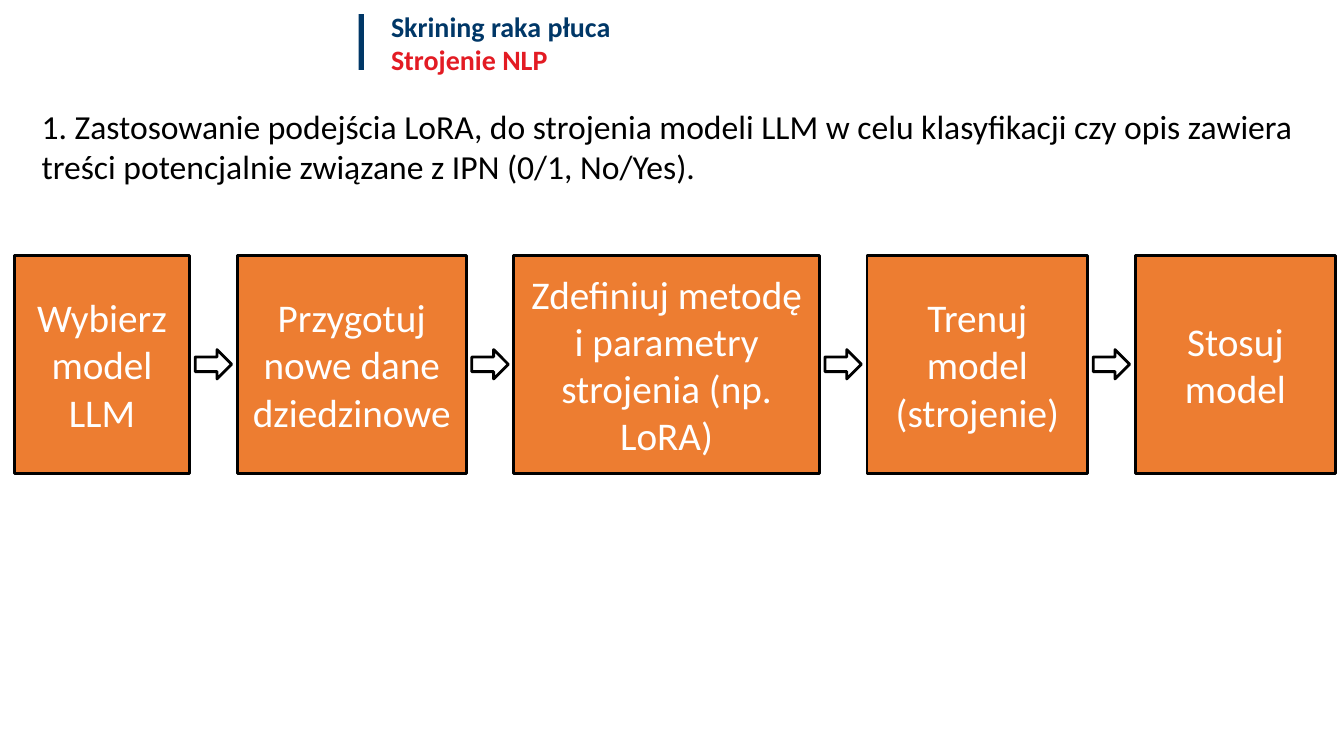
from dataclasses import dataclass

from pptx import Presentation
from pptx import util as u
from pptx.dml.color import RGBColor
from pptx.enum import shapes, text


@dataclass(frozen=True)
class Theme:
    font: str = "Calibri"
    navy: str = "003767"
    red: str = "E31B23"
    orange: str = "ED7D31"
    black: str = "000000"
    white: str = "FFFFFF"
    title_size: int = 20
    body_size: int = 24
    step_size: int = 28
    line_width: int = 2


class SlideBuilder:
    def __init__(self, slide, theme):
        self.slide = slide
        self.theme = theme

    def fill_text(self, shape, lines, size, bold=False, **paragraph_format):
        """Fill a shape with (text, colour) paragraphs."""
        frame = shape.text_frame
        for index, (words, colour) in enumerate(lines):
            paragraph = frame.add_paragraph() if index else frame.paragraphs[0]
            paragraph.text = words
            for name, value in paragraph_format.items():
                setattr(paragraph, name, value)
            font_format = {"name": self.theme.font, "size": u.Pt(size), "bold": bold}
            for name, value in font_format.items():
                setattr(paragraph.font, name, value)
            paragraph.font.color.rgb = RGBColor.from_string(colour)

    def format_frame(self, shape, **frame_format):
        for name, value in {"word_wrap": True, **frame_format}.items():
            setattr(shape.text_frame, name, value)

    def title(self, lines, *box):
        shape = self.slide.shapes.title
        for name, value in zip(("left", "top", "width", "height"), box):
            setattr(shape, name, u.Cm(value))
        self.format_frame(shape, vertical_anchor=text.MSO_ANCHOR.TOP,
                          auto_size=text.MSO_AUTO_SIZE.SHAPE_TO_FIT_TEXT)
        self.fill_text(shape, lines, self.theme.title_size, bold=True,
                       alignment=text.PP_ALIGN.LEFT)

    def body(self, words, *box):
        shape = self.slide.shapes.add_textbox(*map(u.Cm, box))
        self.format_frame(shape, auto_size=text.MSO_AUTO_SIZE.SHAPE_TO_FIT_TEXT)
        self.fill_text(shape, [(words, self.theme.black)], self.theme.body_size,
                       space_after=u.Pt(6))

    def shape(self, kind, *box, fill=None, line=None):
        shape = self.slide.shapes.add_shape(kind, *map(u.Cm, box))
        shape.shadow.inherit = False
        for target, colour in ((shape.fill, fill), (shape.line.fill, line)):
            if colour:
                target.solid()
                target.fore_color.rgb = RGBColor.from_string(colour)
            else:
                target.background()
        if line:
            shape.line.width = u.Pt(self.theme.line_width)
        return shape

    def step(self, words, *box):
        shape = self.shape(shapes.MSO_SHAPE.RECTANGLE, *box,
                           fill=self.theme.orange, line=self.theme.black)
        self.format_frame(shape, vertical_anchor=text.MSO_ANCHOR.MIDDLE)
        self.fill_text(shape, [(words, self.theme.white)], self.theme.step_size,
                       alignment=text.PP_ALIGN.CENTER)

    def arrow(self, *box):
        self.shape(shapes.MSO_SHAPE.RIGHT_ARROW, *box, line=self.theme.black)


# Step label and box width in cm
STEPS = [
    ("Wybierz model LLM", 4.42),
    ("Przygotuj nowe dane dziedzinowe", 5.77),
    ("Zdefiniuj metodę i parametry strojenia (np. LoRA)", 7.7),
    ("Trenuj model (strojenie)", 5.56),
    ("Stosuj model", 5.05),
]
STEP_LEFT, STEP_TOP, STEP_HEIGHT, STEP_GAP = 0.36, 6.43, 5.5, 1.2
ARROW_WIDTH, ARROW_HEIGHT = 0.92, 0.74


def main():
    presentation = Presentation()
    presentation.slide_width = u.Cm(33.87)
    presentation.slide_height = u.Cm(19.05)
    theme = Theme()
    slide = presentation.slides.add_slide(presentation.slide_layouts.get_by_name("Title Only"))
    builder = SlideBuilder(slide, theme)

    # Header
    builder.shape(shapes.MSO_SHAPE.RECTANGLE, 9.04, 0.36, 0.13, 1.4, fill=theme.navy)
    builder.title([("Skrining raka płuca", theme.navy), ("Strojenie NLP", theme.red)],
                  9.6, 0.1, 18, 1.96)

    # Task description
    builder.body("1. Zastosowanie podejścia LoRA, do strojenia modeli LLM w celu klasyfikacji "
                 "czy opis zawiera treści potencjalnie związane z IPN (0/1, No/Yes).",
                 0.8, 2.54, 32.25, 2.31)

    # Process steps, with an arrow centred in each gap
    left = STEP_LEFT
    arrow_top = STEP_TOP + (STEP_HEIGHT - ARROW_HEIGHT) / 2
    for index, (label, width) in enumerate(STEPS):
        if index:
            builder.arrow(left - (STEP_GAP + ARROW_WIDTH) / 2, arrow_top,
                          ARROW_WIDTH, ARROW_HEIGHT)
        builder.step(label, left, STEP_TOP, width, STEP_HEIGHT)
        left += width + STEP_GAP

    presentation.save("out.pptx")


if __name__ == "__main__":
    main()
